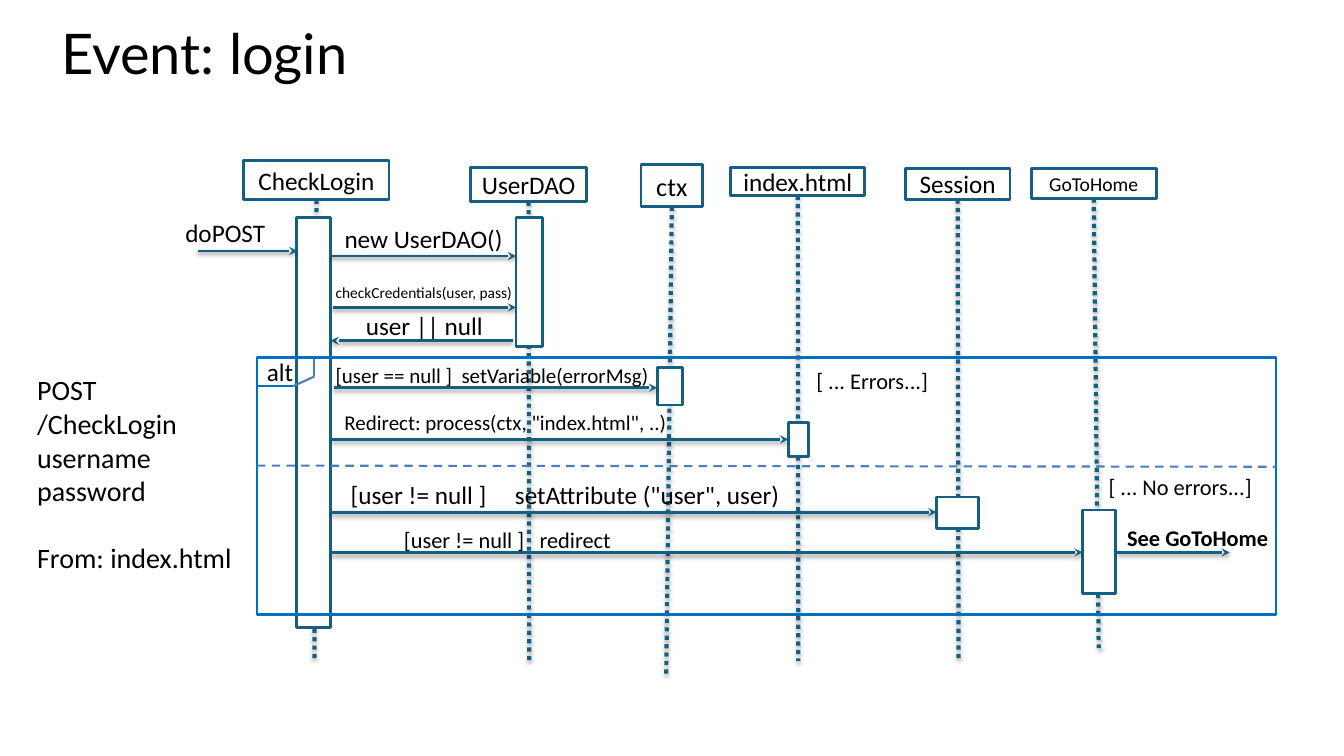
from lxml import etree
from pptx import Presentation
from pptx.dml.color import RGBColor
from pptx.enum.dml import MSO_LINE
from pptx.enum.shapes import MSO_CONNECTOR, MSO_SHAPE
from pptx.enum.text import MSO_ANCHOR, PP_ALIGN
from pptx.oxml import parse_xml
from pptx.oxml.ns import nsdecls, qn
from pptx.util import Pt

BLACK = RGBColor(0x00, 0x00, 0x00)
WHITE = RGBColor(0xFF, 0xFF, 0xFF)
TEAL = RGBColor(0x15, 0x60, 0x82)
BLUE = RGBColor(0x00, 0x70, 0xC0)
STEEL = RGBColor(0x4B, 0x7E, 0xBC)

presentation = Presentation()
presentation.slide_width, presentation.slide_height = Pt(960), Pt(540)
slide = presentation.slides.add_slide(presentation.slide_layouts[5])


def write(shape, text, size, align=PP_ALIGN.LEFT, bold=False, font="Calibri",
          anchor=MSO_ANCHOR.TOP, inset=7.2):
    frame = shape.text_frame
    right = inset if align == PP_ALIGN.CENTER else 0
    settings = {"word_wrap": True, "vertical_anchor": anchor,
                "margin_left": Pt(inset), "margin_right": Pt(right),
                "margin_top": Pt(3.6), "margin_bottom": Pt(3.6)}
    for name, value in settings.items():
        setattr(frame, name, value)
    frame.text = text
    for paragraph in frame.paragraphs:
        paragraph.alignment = align
        for name, value in {"size": Pt(size), "bold": bold, "name": font}.items():
            setattr(paragraph.font, name, value)
        paragraph.font.color.rgb = BLACK


def draw_line(start, end, color, width, dash=None, arrow=False, shadow=0):
    points = [Pt(value) for value in (*start, *end)]
    line = slide.shapes.add_connector(MSO_CONNECTOR.STRAIGHT, *points)
    line.line.color.rgb = color
    line.line.width = Pt(width)
    if dash:
        line.line.dash_style = dash
    if arrow:
        etree.SubElement(line.line._get_or_add_ln(), qn("a:tailEnd"), type="stealth")
    effect = (
        f'<a:outerShdw blurRad="{Pt(3.1)}" dist="{Pt(1.7)}" dir="5400000" rotWithShape="0">'
        f'<a:srgbClr val="{BLACK}"><a:alpha val="{shadow * 1000}"/></a:srgbClr></a:outerShdw>'
    ) if shadow else ""
    properties = line._element.spPr
    properties.append(parse_xml(f'<a:effectLst {nsdecls("a")}>{effect}</a:effectLst>'))


# Title
title = slide.shapes.title
for name, value in {"left": 36, "top": 16.5, "width": 220, "height": 47}.items():
    setattr(title, name, Pt(value))
write(title, "Event: login", 40, PP_ALIGN.CENTER, font="Lato", anchor=MSO_ANCHOR.MIDDLE)
title.text_frame.paragraphs[0].line_spacing = 0.9

# Participants: name, text size, box, lower end of the lifeline
participants = [
    ("CheckLogin", 18, (174.2, 114.5, 103.7, 28.1), (224.6, 472.3)),
    ("UserDAO", 18, (336.2, 119.5, 82.8, 24.5), (378, 472.3)),
    ("ctx", 18.7, (457.9, 117.4, 43.9, 30.2), (475.9, 483.1)),
    ("index.html", 18, (522, 119.5, 95.8, 20.2), (570.2, 472.3)),
    ("Session", 18, (646.6, 120.2, 74.9, 22.3), (684.7, 472.3)),
    ("GoToHome", 14, (736.6, 120.2, 89.3, 21.6), (784.8, 463)),
]
for name, size, (left, top, width, height), end in participants:
    draw_line((left + width / 2, top + height), end, TEAL, 3,
              dash=MSO_LINE.ROUND_DOT, shadow=35)

# Participant boxes, activation bars and the alt frame
activations = [
    (211.7, 155.5, 24.5, 293),
    (368.6, 155.5, 18.7, 92.2),
    (469.4, 262.8, 18, 26.6),
    (563, 301.7, 14.4, 24.5),
    (668.9, 355, 30.2, 22.3),
    (773.3, 364.3, 23.8, 59.8),
]
boxes = [(box, name, size, TEAL) for name, size, box, end in participants]
boxes += [(bar, "", 18, TEAL) for bar in activations]
boxes.append(((183.6, 255.6, 727.9, 183.6), "", 18, BLUE))
for position, text, size, color in boxes:
    box = slide.shapes.add_shape(MSO_SHAPE.RECTANGLE, *[Pt(value) for value in position])
    box.shadow.inherit = False
    box.line.color.rgb = color
    box.line.width = Pt(2)
    if color == BLUE:
        box.fill.background()
    else:
        box.fill.solid()
        box.fill.fore_color.rgb = WHITE
    if text:
        write(box, text, size, PP_ALIGN.CENTER, anchor=MSO_ANCHOR.MIDDLE, inset=3)

# Messages: start x, end x, y
messages = [
    (141.1, 212.4, 179.3),
    (236.2, 368.6, 182.9),
    (237.6, 368.6, 219.6),
    (366.5, 236.2, 243.4),
    (238.3, 469.4, 277),
    (236.9, 563, 313.9),
    (236.2, 668.9, 365.8),
    (236.2, 773.3, 394.6),
    (797.8, 878.4, 394.6),
]
for start, end, y in messages:
    draw_line((start, y), (end, y), TEAL, 2, arrow=True, shadow=38)

# Corner tab and divider of the alt frame
draw_line((182.9, 275.8), (209.5, 275.8), BLUE, 1.5)
draw_line((209.5, 275.8), (224.6, 268.9), STEEL, 1.5)
draw_line((224.6, 268.9), (224.6, 256.3), STEEL, 1.5)
draw_line((183.6, 332.6), (911.5, 333.4), STEEL, 1.5, dash=MSO_LINE.DASH)

# Labels: text, size, bold, left, top, width, height
labels = [
    ("doPOST", 18, False, 125.3, 151.9, 72, 22),
    ("new UserDAO()", 18, False, 239, 156.2, 135, 23),
    ("checkCredentials(user, pass)", 11, False, 232.6, 198.7, 143, 21),
    ("user || null", 18, False, 254.2, 218.2, 112, 22),
    ("alt", 18, False, 183.6, 251.3, 33, 29),
    ("[user == null ]", 15, False, 232.6, 255.2, 100, 24),
    ("setVariable(errorMsg)", 15, False, 322.6, 255.2, 155, 24),
    ("Redirect: process(ctx, \"index.html\", ..)", 15, False, 239, 288.7, 246, 24),
    ("[user != null ]", 18, False, 243.4, 339.1, 115, 25),
    ("setAttribute (\"user\", user)", 18, False, 360.7, 339.1, 207, 25),
    ("[user != null ]", 16, False, 281.5, 372.2, 100, 19),
    ("redirect", 16, False, 378.4, 372.2, 70, 19),
    ("See GoToHome", 16, True, 798.1, 370.8, 117, 16),
    ("[ ... Errors...]", 16, False, 576, 258.5, 118, 27),
    ("[ ... No errors...]", 16, False, 784.8, 334.4, 118, 27),
]
for text, size, bold, *position in labels:
    label = slide.shapes.add_textbox(*[Pt(value) for value in position])
    write(label, text, size, bold=bold)

# Request summary
summary = slide.shapes.add_textbox(Pt(19.4), Pt(262.8), Pt(173.5), Pt(210))
write(summary, "POST\n/CheckLogin\nusername\npassword\nFrom: index.html", 20)
summary.text_frame.paragraphs[-1].space_before = Pt(24)

presentation.save("out.pptx")
